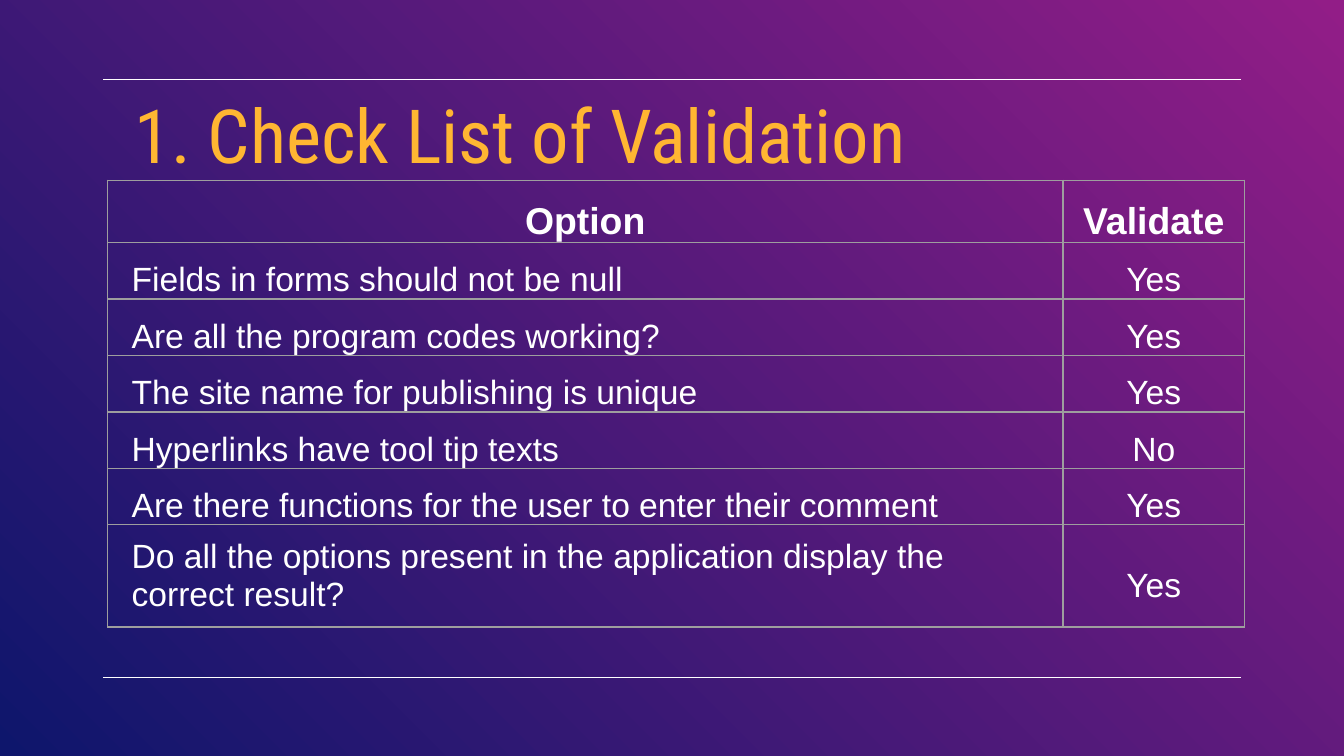
"""Build the validation check list slide."""
from lxml.etree import SubElement
from pptx import Presentation
from pptx.dml.color import RGBColor
from pptx.enum.shapes import MSO_CONNECTOR
from pptx.enum.text import MSO_ANCHOR, MSO_AUTO_SIZE, PP_ALIGN
from pptx.oxml import parse_xml
from pptx.oxml.ns import nsdecls, qn
from pptx.util import Inches, Pt

TITLE = "1. Check List of Validation"
HEADER = ("Option", "Validate")
CHECKS = [
    ("Fields in forms should not be null", "Yes"),
    ("Are all the program codes working?", "Yes"),
    ("The site name for publishing is unique", "Yes"),
    ("Hyperlinks have tool tip texts", "No"),
    ("Are there functions for the user to enter their comment", "Yes"),
    ("Do all the options present in the application display the correct result?", "Yes"),
]
THEME = {
    "gradient": ("921D87", "0E166C"),
    "white": "FFFFFF",
    "border": "9E9E9E",
    "line_width": 0.75,
    "title": {"name": "Roboto Condensed", "size": Pt(40), "bold": False},
    "title_color": "FFB632",
    "header": {"name": "Arial", "size": Pt(20), "bold": True},
    "body": {"name": "Arial", "size": Pt(18), "bold": False},
}
SLIDE_WIDTH = Inches(10)
SLIDE_HEIGHT = SLIDE_WIDTH * 9 // 16
COLUMN_WIDTHS = (7.11, 1.35)
ROW_HEIGHTS = [0.46] + [0.42] * (len(CHECKS) - 1) + [0.76]
RULE_LEFT, RULE_RIGHT = 0.77, 9.23
RULE_TOPS = (0.59, 5.04)


def set_all(target, values):
    for name, value in values.items():
        setattr(target, name, value)


def style_font(font, values, color):
    set_all(font, values)
    font.color.rgb = RGBColor.from_string(color)


def paint_background(page):
    fill = page.background.fill
    fill.gradient()
    fill.gradient_angle = 225
    for stop, color, position in zip(fill.gradient_stops, THEME["gradient"], (0, 1)):
        stop.color.rgb = RGBColor.from_string(color)
        stop.position = position


def add_rule(page, top):
    rule = page.shapes.add_connector(
        MSO_CONNECTOR.STRAIGHT,
        Inches(RULE_LEFT), Inches(top), Inches(RULE_RIGHT), Inches(top))
    rule.line.width = Pt(THEME["line_width"])
    rule.line.color.rgb = RGBColor.from_string(THEME["white"])
    SubElement(rule._element.spPr, qn("a:effectLst"))


def place_title(page):
    title = page.shapes.title
    set_all(title, {"left": Inches(0.9), "top": Inches(0.62),
                    "width": Inches(6.77), "height": Inches(0.75)})
    frame = title.text_frame
    frame.text = TITLE
    set_all(frame, {"auto_size": MSO_AUTO_SIZE.NONE, "word_wrap": True,
                    "vertical_anchor": MSO_ANCHOR.MIDDLE})
    set_all(frame, {f"margin_{side}": Inches(0.1)
                    for side in ("left", "right", "top", "bottom")})
    paragraph = frame.paragraphs[0]
    paragraph.alignment = PP_ALIGN.LEFT
    style_font(paragraph.runs[0].font, THEME["title"], THEME["title_color"])


def add_borders(cell):
    properties = cell._tc.get_or_add_tcPr()
    for index, side in enumerate("LRTB"):
        properties.insert(index, parse_xml(
            f'<a:ln{side} {nsdecls("a")} w="{Pt(THEME["line_width"])}"><a:solidFill>'
            f'<a:srgbClr val="{THEME["border"]}"/></a:solidFill></a:ln{side}>'))


def fill_cell(cell, text, style, centered, line_spacing):
    cell.text = text
    cell.fill.background()
    set_all(cell, {"vertical_anchor": MSO_ANCHOR.MIDDLE,
                   "margin_left": Inches(0.07), "margin_right": Inches(0.07),
                   "margin_top": 0, "margin_bottom": 0})
    add_borders(cell)
    paragraph = cell.text_frame.paragraphs[0]
    paragraph.alignment = PP_ALIGN.CENTER if centered else PP_ALIGN.LEFT
    paragraph.line_spacing = line_spacing
    if not centered:
        paragraph._p.get_or_add_pPr().set("marL", str(Inches(0.11)))
    style_font(paragraph.runs[0].font, style, THEME["white"])


def add_check_table(page):
    rows = [HEADER] + CHECKS
    table = page.shapes.add_table(
        len(rows), len(HEADER), Inches(0.8), Inches(1.34),
        Inches(sum(COLUMN_WIDTHS)), Inches(sum(ROW_HEIGHTS))).table
    set_all(table, {"first_row": False, "horz_banding": False})
    for column, width in zip(table.columns, COLUMN_WIDTHS):
        column.width = Inches(width)
    for row_index, (row, height) in enumerate(zip(rows, ROW_HEIGHTS)):
        table.rows[row_index].height = Inches(height)
        is_header = row_index == 0
        for column_index, text in enumerate(row):
            centered = is_header or column_index == 1
            wraps = row_index == len(CHECKS) and not centered
            fill_cell(table.cell(row_index, column_index), text,
                      THEME["header" if is_header else "body"],
                      centered, 1.0 if wraps else 1.5)


def main():
    deck = Presentation()
    set_all(deck, {"slide_width": SLIDE_WIDTH, "slide_height": SLIDE_HEIGHT})
    page = deck.slides.add_slide(deck.slide_layouts[5])
    paint_background(page)
    for top in RULE_TOPS:
        add_rule(page, top)
    place_title(page)
    add_check_table(page)
    deck.save("out.pptx")


if __name__ == "__main__":
    main()
